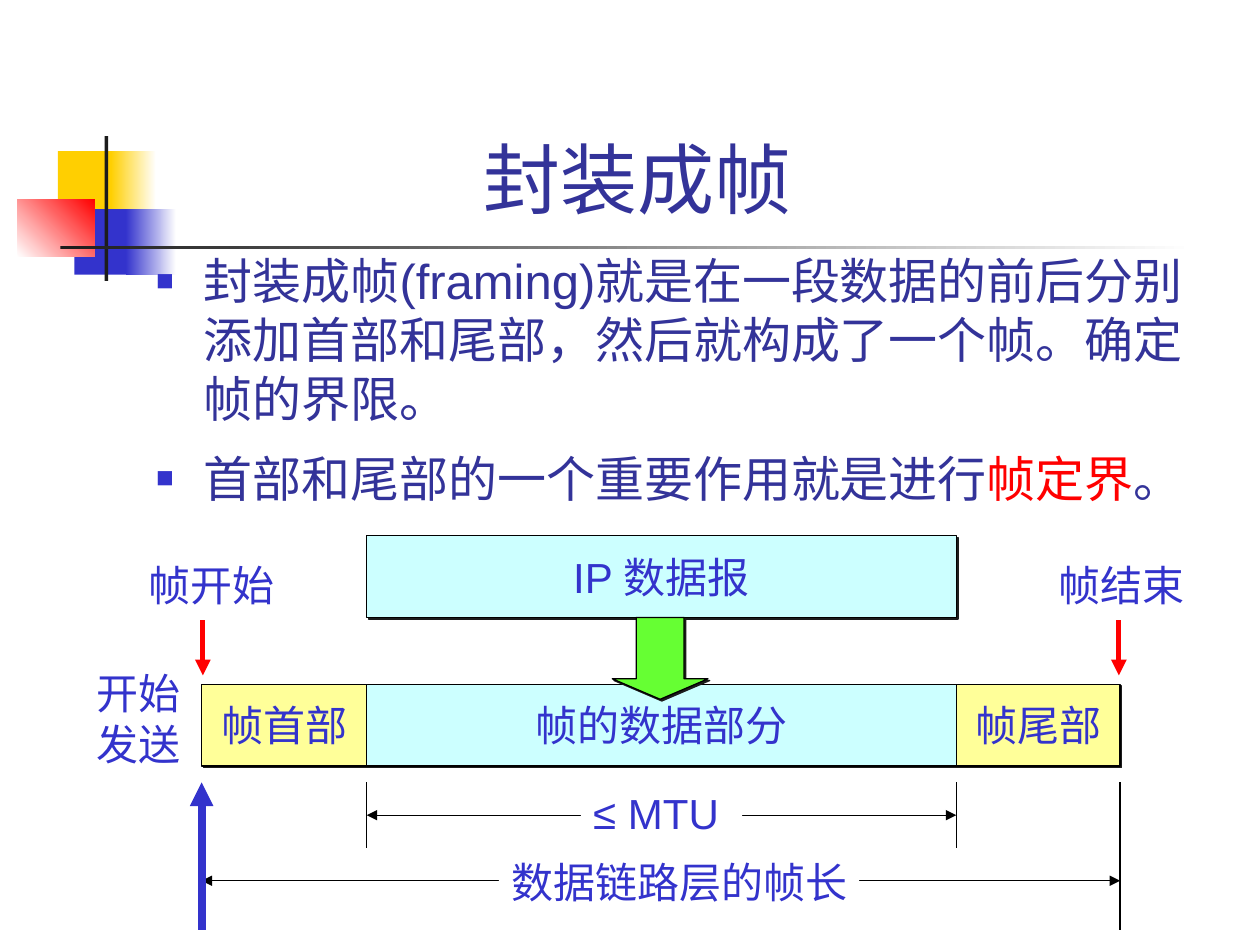
from dataclasses import dataclass

from lxml.etree import SubElement
from pptx import Presentation
from pptx.dml.color import RGBColor
from pptx.enum.shapes import MSO_CONNECTOR, MSO_SHAPE
from pptx.enum.text import MSO_ANCHOR, MSO_AUTO_SIZE, PP_ALIGN
from pptx.oxml.ns import qn
from pptx.util import Inches, Pt


@dataclass(frozen=True)
class Theme:
    font: str = "Arial"
    title_size: int = 44
    body_size: int = 28
    label_size: int = 24
    text: str = "333399"
    blue: str = "3333CC"
    red: str = "FF0000"
    gold: str = "FFCF01"
    ink: str = "1C1C1C"
    black: str = "000000"
    white: str = "FFFFFF"
    header: str = "FFFF99"
    data: str = "CCFFFF"
    green: str = "66FF33"


THEME = Theme()

# Frame edges and rows shared by the boxes, lines and arrows
FRAME_LEFT, DATA_LEFT, DATA_RIGHT, FRAME_RIGHT = 1.6, 2.91, 7.59, 8.89
PACKET_TOP, FRAME_TOP, BOX_HEIGHT = 4.25, 5.43, 0.65
TICK_TOP, MTU_ROW, LENGTH_ROW, TICK_BOTTOM = 6.21, 6.47, 6.99, 7.38


def rgb(color):
    return RGBColor.from_string(color)


def add_run(paragraph, text, size, color):
    run = paragraph.add_run()
    run.text = text
    run.font.name = THEME.font
    run.font.size = Pt(size)
    run.font.color.rgb = rgb(color)


def add_block(slide, left, top, width, height, fill, kind=MSO_SHAPE.RECTANGLE):
    """Add a plain shape; a pair of colours gives a gradient fill."""
    shape = slide.shapes.add_shape(
        kind, Inches(left), Inches(top), Inches(width), Inches(height))
    shape.shadow.inherit = False
    shape.line.fill.background()
    if isinstance(fill, tuple):
        shape.fill.gradient()
        shape.fill.gradient_angle = 0
        for stop, color in zip(shape.fill.gradient_stops, fill):
            stop.color.rgb = rgb(color)
    else:
        shape.fill.solid()
        shape.fill.fore_color.rgb = rgb(fill)
    return shape


def add_outline_and_shadow(shape):
    shape.line.color.rgb = rgb(THEME.black)
    shape.line.width = Pt(0.75)
    effects = shape._element.spPr.find(qn("a:effectLst"))
    shadow = SubElement(effects, qn("a:outerShdw"), dist=str(Pt(1.4)),
                        dir="2700000", algn="ctr", rotWithShape="0")
    SubElement(shadow, qn("a:srgbClr"), val=THEME.ink)


def add_box(slide, left, right, top, fill, text):
    shape = add_block(slide, left, top, right - left, BOX_HEIGHT, fill)
    add_outline_and_shadow(shape)
    frame = shape.text_frame
    frame.word_wrap = False
    frame.vertical_anchor = MSO_ANCHOR.MIDDLE
    frame.paragraphs[0].alignment = PP_ALIGN.CENTER
    add_run(frame.paragraphs[0], text, THEME.label_size, THEME.blue)


def add_label(slide, left, top, width, height, *lines):
    frame = add_block(slide, left, top, width, height, THEME.white).text_frame
    frame.word_wrap = False
    frame.auto_size = MSO_AUTO_SIZE.NONE
    frame.margin_right = 0  # spare room keeps each line whole
    frame.vertical_anchor = MSO_ANCHOR.TOP
    for index, line in enumerate(lines):
        paragraph = frame.add_paragraph() if index else frame.paragraphs[0]
        paragraph.alignment = PP_ALIGN.LEFT
        add_run(paragraph, line, THEME.label_size, THEME.blue)


def add_line(slide, start, end, color=THEME.black, width=0.75, arrows=()):
    """Add a line; arrows may name headEnd (start) and tailEnd (end)."""
    points = [Inches(value) for value in (*start, *end)]
    connector = slide.shapes.add_connector(MSO_CONNECTOR.STRAIGHT, *points)
    connector.line.color.rgb = rgb(color)
    connector.line.width = Pt(width)
    line = connector.line._get_or_add_ln()
    for arrow in arrows:
        SubElement(line, qn(f"a:{arrow}"), type="triangle")
    SubElement(connector._element.spPr, qn("a:effectLst"))


def add_text_box(slide, left, top, width, height):
    frame = slide.shapes.add_textbox(
        Inches(left), Inches(top), Inches(width), Inches(height)).text_frame
    frame.word_wrap = True
    return frame


def set_bullet(paragraph):
    properties = paragraph._p.get_or_add_pPr()
    properties.set("marL", str(Inches(0.38)))
    properties.set("indent", str(Inches(-0.38)))
    color = SubElement(properties, qn("a:buClr"))
    SubElement(color, qn("a:srgbClr"), val=THEME.blue)
    SubElement(properties, qn("a:buSzPct"), val="60000")
    SubElement(properties, qn("a:buFont"), typeface=THEME.font)
    SubElement(properties, qn("a:buChar"), char="■")


def add_decoration(slide):
    add_block(slide, 0.46, 1.2, 0.48, 0.52, THEME.gold)
    add_block(slide, 0.88, 1.2, 0.36, 0.52, (THEME.gold, THEME.white))
    add_block(slide, 0.59, 1.66, 0.46, 0.52, THEME.blue)
    add_block(slide, 1, 1.66, 0.4, 0.52, (THEME.blue, THEME.white))
    red = add_block(slide, 0.14, 1.58, 0.61, 0.46, (THEME.white, THEME.red))
    red.fill.gradient_angle = 45
    add_block(slide, 0.83, 1.08, 0.03, 1.15, THEME.ink)
    add_block(slide, 0.48, 1.95, 9, 0.03, (THEME.ink, THEME.white))


def add_title_and_body(slide):
    title = add_text_box(slide, 1.26, 0.23, 7.6, 1.6)
    title.vertical_anchor = MSO_ANCHOR.BOTTOM
    title.paragraphs[0].alignment = PP_ALIGN.CENTER
    add_run(title.paragraphs[0], "封装成帧", THEME.title_size, THEME.text)

    body = add_text_box(slide, 1.14, 1.94, 8.5, 4.5)
    first, second = body.paragraphs[0], body.add_paragraph()
    for paragraph in (first, second):
        set_bullet(paragraph)
    second.space_before = Pt(12)
    add_run(first, "封装成帧(framing)就是在一段数据的前后分别添加首部和尾部，"
            "然后就构成了一个帧。确定帧的界限。", THEME.body_size, THEME.text)
    for text, color in (("首部和尾部的一个重要作用就是进行", THEME.text),
                        ("帧定界", THEME.red), ("。", THEME.text)):
        add_run(second, text, THEME.body_size, color)


def add_frame_diagram(slide):
    # Packet and the three parts of the frame
    add_label(slide, 8.3, 4.39, 1.2, 0.5, "帧结束")
    add_box(slide, FRAME_LEFT, DATA_LEFT, FRAME_TOP, THEME.header, "帧首部")
    add_box(slide, DATA_LEFT, DATA_RIGHT, PACKET_TOP, THEME.data, "IP 数据报")
    add_box(slide, DATA_LEFT, DATA_RIGHT, FRAME_TOP, THEME.data, "帧的数据部分")
    add_box(slide, DATA_RIGHT, FRAME_RIGHT, FRAME_TOP, THEME.header, "帧尾部")

    # Dimension lines, then their labels on top
    for left, right, row in ((DATA_LEFT, DATA_RIGHT, MTU_ROW),
                             (FRAME_LEFT, FRAME_RIGHT, LENGTH_ROW)):
        add_line(slide, (left, row), (right, row),
                 arrows=("headEnd", "tailEnd"))
    add_line(slide, (FRAME_LEFT, TICK_TOP), (FRAME_LEFT, TICK_BOTTOM),
             THEME.blue, 4.5, ("headEnd",))
    for x, bottom in ((FRAME_RIGHT, TICK_BOTTOM), (DATA_LEFT, 6.73),
                      (DATA_RIGHT, 6.73)):
        add_line(slide, (x, TICK_TOP), (x, bottom))
    add_label(slide, 4.61, 6.2, 1.28, 0.5, "≤ MTU")
    add_label(slide, 3.96, 6.75, 2.86, 0.5, "数据链路层的帧长")

    # Encapsulation arrow
    arrow = add_block(slide, 4.86, PACKET_TOP + BOX_HEIGHT, 0.76, 0.65,
                      THEME.green, MSO_SHAPE.DOWN_ARROW)
    arrow.adjustments[0], arrow.adjustments[1] = 0.5, 0.25
    add_outline_and_shadow(arrow)

    # Start and end markers
    add_label(slide, 0.67, 5.25, 0.86, 0.9, "开始", "发送")
    for x in (1.61, 8.88):
        add_line(slide, (x, 5.36), (x, 4.92), THEME.red, 3, ("headEnd",))
    add_label(slide, 1.08, 4.39, 1.2, 0.5, "帧开始")


def main():
    presentation = Presentation()
    presentation.slide_width = Inches(10)
    presentation.slide_height = Inches(7.5)
    slide = presentation.slides.add_slide(presentation.slide_layouts[6])
    add_decoration(slide)
    add_title_and_body(slide)
    add_frame_diagram(slide)
    presentation.save("out.pptx")


if __name__ == "__main__":
    main()
